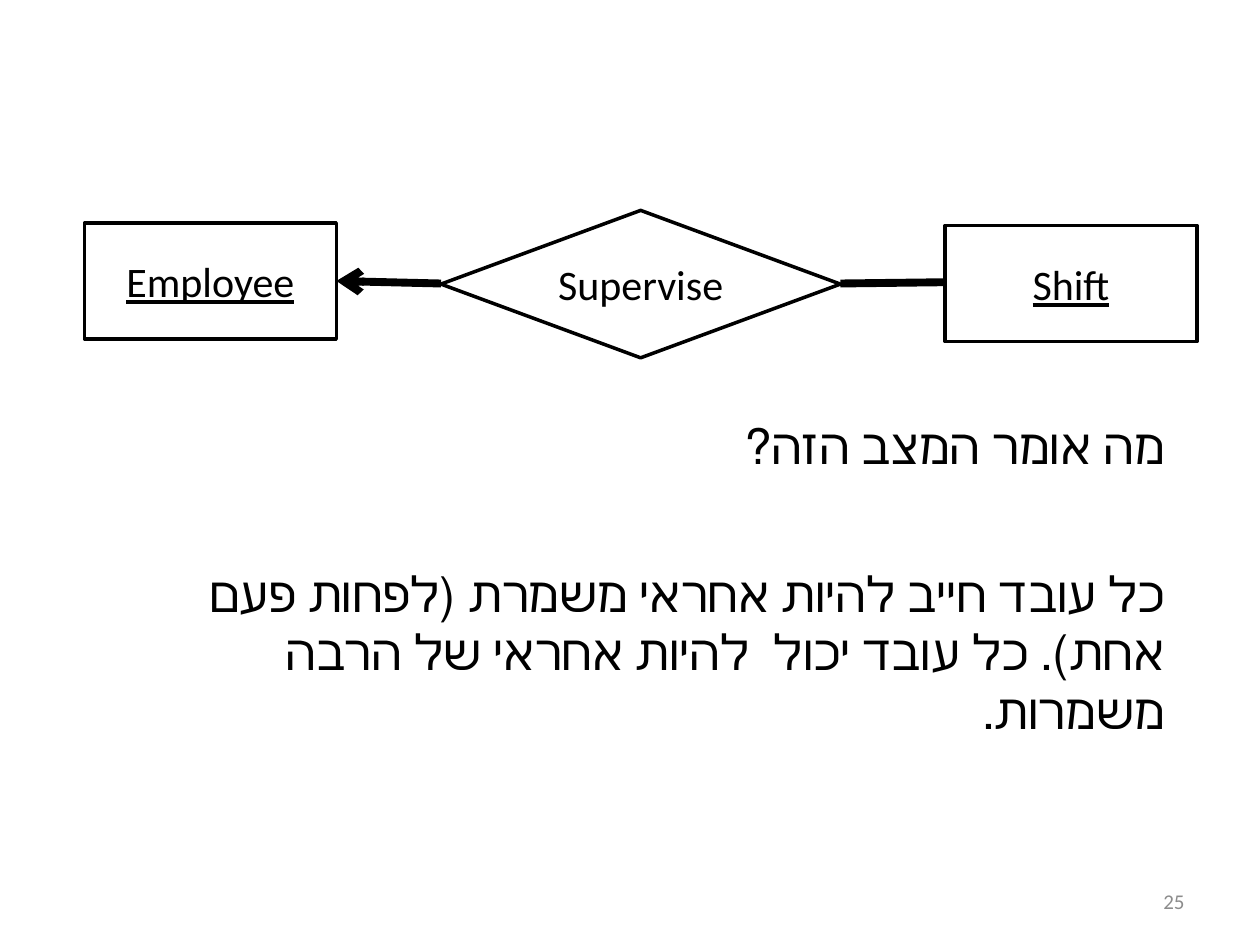
"""Build a slide with an entity-relationship diagram and a Hebrew explanation."""
from dataclasses import dataclass

from lxml.etree import SubElement
from pptx import Presentation
from pptx.dml.color import RGBColor
from pptx.enum.shapes import MSO_CONNECTOR, MSO_SHAPE
from pptx.enum.text import MSO_ANCHOR, MSO_AUTO_SIZE, PP_ALIGN
from pptx.oxml.ns import qn
from pptx.util import Inches, Pt


@dataclass(frozen=True)
class Theme:
    font: str = "Calibri"
    ink: RGBColor = RGBColor(0, 0, 0)
    muted: RGBColor = RGBColor(0x8C, 0x8C, 0x8C)
    label_size: Pt = Pt(24)
    body_size: Pt = Pt(28)
    number_size: Pt = Pt(12)
    outline: Pt = Pt(2)
    link: Pt = Pt(4.5)


theme = Theme()


def write(shape, text, size, color, align):
    shape.text_frame.word_wrap = True
    para = shape.text_frame.paragraphs[0]
    para.text = text
    para.alignment = align
    para.font.name = theme.font
    para.font.size = size
    para.font.color.rgb = color
    return para


deck = Presentation()
deck.slide_width, deck.slide_height = Inches(10), Inches(7.5)
page = deck.slides.add_slide(deck.slide_layouts[6])

number_box = page.shapes.add_textbox(Inches(7.17), Inches(6.95), Inches(2.33), Inches(0.4))
number_box.text_frame.vertical_anchor = MSO_ANCHOR.MIDDLE
write(number_box, "25", theme.number_size, theme.muted, PP_ALIGN.RIGHT)

for label, kind, left, top, width, height in (
    ("Employee", MSO_SHAPE.RECTANGLE, 0.67, 1.77, 2, 0.92),
    ("Shift", MSO_SHAPE.RECTANGLE, 7.5, 1.79, 2, 0.92),
    ("Supervise", MSO_SHAPE.FLOWCHART_DECISION, 3.5, 1.67, 3.17, 1.17),
):
    node = page.shapes.add_shape(kind, Inches(left), Inches(top), Inches(width), Inches(height))
    node.shadow.inherit = False
    node.fill.background()
    node.line.color.rgb = theme.ink
    node.line.width = theme.outline
    node.text_frame.vertical_anchor = MSO_ANCHOR.MIDDLE
    para = write(node, label, theme.label_size, theme.ink, PP_ALIGN.CENTER)
    if kind == MSO_SHAPE.RECTANGLE:
        para.font.underline = True

for start_x, end_x, end_y, has_arrow in ((3.5, 2.67, 2.23, True), (6.67, 7.5, 2.24, False)):
    link = page.shapes.add_connector(
        MSO_CONNECTOR.STRAIGHT, Inches(start_x), Inches(2.25), Inches(end_x), Inches(end_y)
    )
    link.line.color.rgb = theme.ink
    link.line.width = theme.link
    if has_arrow:
        SubElement(link.line._get_or_add_ln(), qn("a:tailEnd"), type="arrow")
    SubElement(link._element.spPr, qn("a:effectLst"))

for text, top, height in (
    ("מה אומר המצב הזה?", 3.25, 0.57),
    (
        "כל עובד חייב להיות אחראי משמרת (לפחות פעם אחת). "
        "כל עובד יכול  להיות אחראי של הרבה משמרות.",
        4.42,
        1.04,
    ),
):
    box = page.shapes.add_textbox(Inches(1), Inches(top), Inches(8.34), Inches(height))
    para = write(box, text, theme.body_size, theme.ink, PP_ALIGN.RIGHT)
    para._p.get_or_add_pPr().set("rtl", "1")
    box.text_frame.auto_size = MSO_AUTO_SIZE.SHAPE_TO_FIT_TEXT

deck.save("out.pptx")
